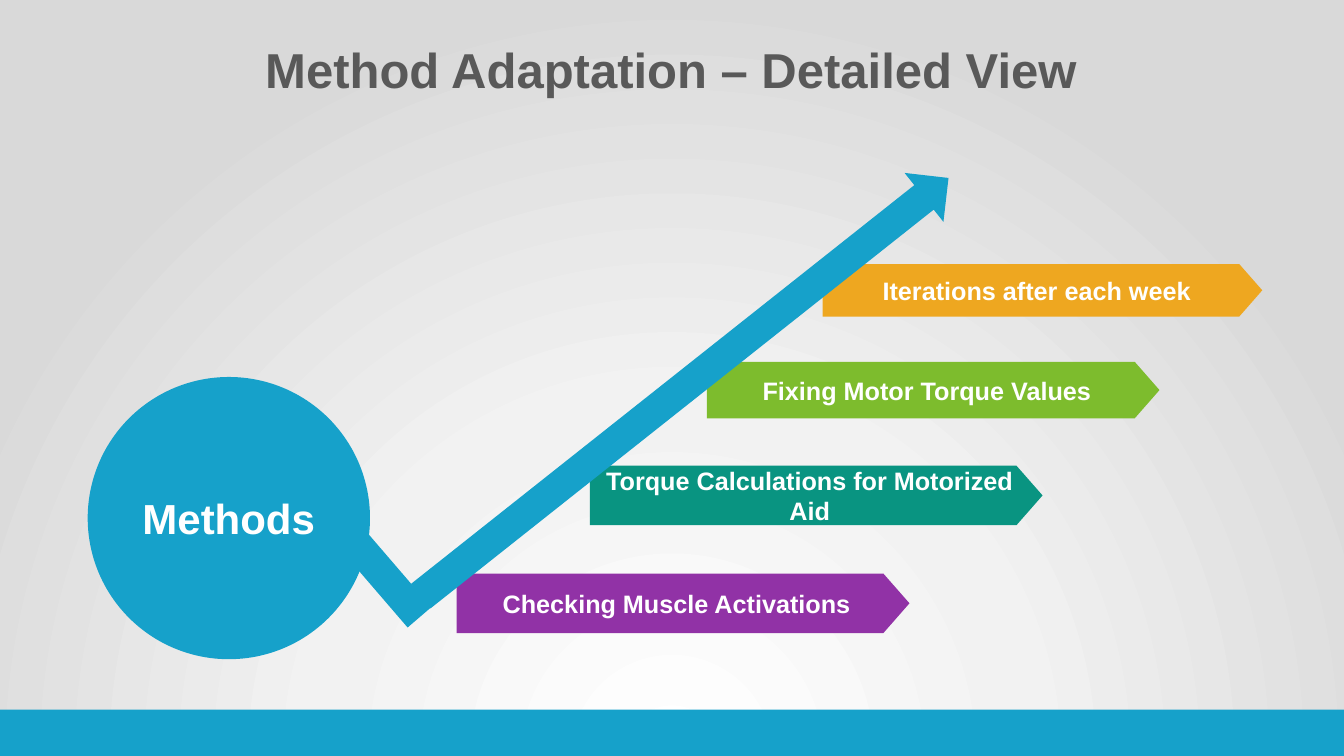
from lxml import etree
from pptx import Presentation
from pptx.dml.color import RGBColor
from pptx.enum.shapes import MSO_SHAPE
from pptx.enum.text import MSO_ANCHOR, MSO_AUTO_SIZE, PP_ALIGN
from pptx.oxml.ns import qn
from pptx.util import Inches, Pt

PENTAGON = MSO_SHAPE.PENTAGON
OVAL = MSO_SHAPE.OVAL
RECTANGLE = MSO_SHAPE.RECTANGLE
RIGHT_ARROW = MSO_SHAPE.RIGHT_ARROW
CENTER = PP_ALIGN.CENTER
MIDDLE = MSO_ANCHOR.MIDDLE
TOP = MSO_ANCHOR.TOP
GROW = MSO_AUTO_SIZE.SHAPE_TO_FIT_TEXT

FONT = "Arial"
COLORS = {
    "blue": "16A1CA", "purple": "9132A6", "teal": "099481",
    "green": "7DBC2D", "orange": "EEA720", "white": "FFFFFF", "title": "595959",
}
BACKDROP_STOPS = [(0, "FFFFFF"), (46, "F2F2F2"), (100, "D9D9D9")]
STEPS = [
    ("Checking Muscle Activations", "purple", (4.53, 5.69, 4.49, 0.59)),
    ("Torque Calculations for Motorized Aid", "teal", (5.85, 4.62, 4.49, 0.59)),
    ("Fixing Motor Torque Values", "green", (7.01, 3.59, 4.49, 0.56)),
    ("Iterations after each week", "orange", (8.16, 2.62, 4.36, 0.52)),
]


def write(frame, text, size, color, anchor=MIDDLE):
    """Put one centred bold line of text in a frame."""
    frame.word_wrap = True
    frame.vertical_anchor = anchor
    frame.text = text
    paragraph = frame.paragraphs[0]
    paragraph.alignment = CENTER
    font = paragraph.font
    font.name, font.size, font.bold = FONT, Pt(size), True
    font.color.rgb = RGBColor.from_string(COLORS[color])


def add_flat(slide, kind, box, color, rotation=0):
    """Add a plain filled shape in the given box."""
    shape = slide.shapes.add_shape(kind, *map(Inches, box))
    shape.shadow.inherit = False
    shape.fill.solid()
    shape.fill.fore_color.rgb = RGBColor.from_string(COLORS[color])
    shape.line.fill.background()
    shape.rotation = rotation
    return shape


def paint_backdrop(slide):
    """Fill the background with a circular gradient centred below the slide."""
    slide.background.fill.gradient()
    gradient = slide.element.find(".//" + qn("a:gradFill"))
    for child in list(gradient):
        gradient.remove(child)
    stops = etree.SubElement(gradient, qn("a:gsLst"))
    for position, color in BACKDROP_STOPS:
        stop = etree.SubElement(stops, qn("a:gs"), pos=str(position * 1000))
        etree.SubElement(stop, qn("a:srgbClr"), val=color)
    circle = etree.SubElement(gradient, qn("a:path"))
    circle.set("path", "circle")
    etree.SubElement(circle, qn("a:fillToRect"),
                     l="50000", t="130000", r="50000", b="-30000")


def place_title(slide, box):
    """Move and format the slide title."""
    title = slide.shapes.title
    title.left, title.top, title.width, title.height = map(Inches, box)
    write(title.text_frame, "Method Adaptation – Detailed View", 35, "title", TOP)
    title.text_frame.auto_size = GROW


def add_steps(slide):
    """Add the tags that climb along the arrow."""
    for text, color, box in STEPS:
        tag = add_flat(slide, PENTAGON, box, color)
        tag.adjustments[0] = 0.438
        write(tag.text_frame, text, 18, "white")


def add_methods(slide, box):
    """Add the circle with its elbow and the rising arrow."""
    left, top, width, height = box
    add_flat(slide, RECTANGLE, (left + 2.44, top + 1.84, 1.03, 0.31), "blue", 49.3)
    circle = add_flat(slide, OVAL, box, "blue")
    write(circle.text_frame, "Methods", 30, "white")
    add_flat(slide, RIGHT_ARROW, (left + 2.58, top - 0.21, 6.68, 0.62), "blue", 321.6)


def main():
    """Build and save the slide."""
    deck = Presentation()
    deck.slide_width, deck.slide_height = Inches(13.33), Inches(7.5)
    slide = deck.slides.add_slide(deck.slide_layouts[5])
    paint_backdrop(slide)
    place_title(slide, (1.83, 0.34, 9.66, 0.69))
    add_steps(slide)
    add_methods(slide, (0.87, 3.74, 2.8, 2.8))
    add_flat(slide, RECTANGLE, (0, 7.04, 13.33, 0.46), "blue")
    deck.save("out.pptx")


if __name__ == "__main__":
    main()
